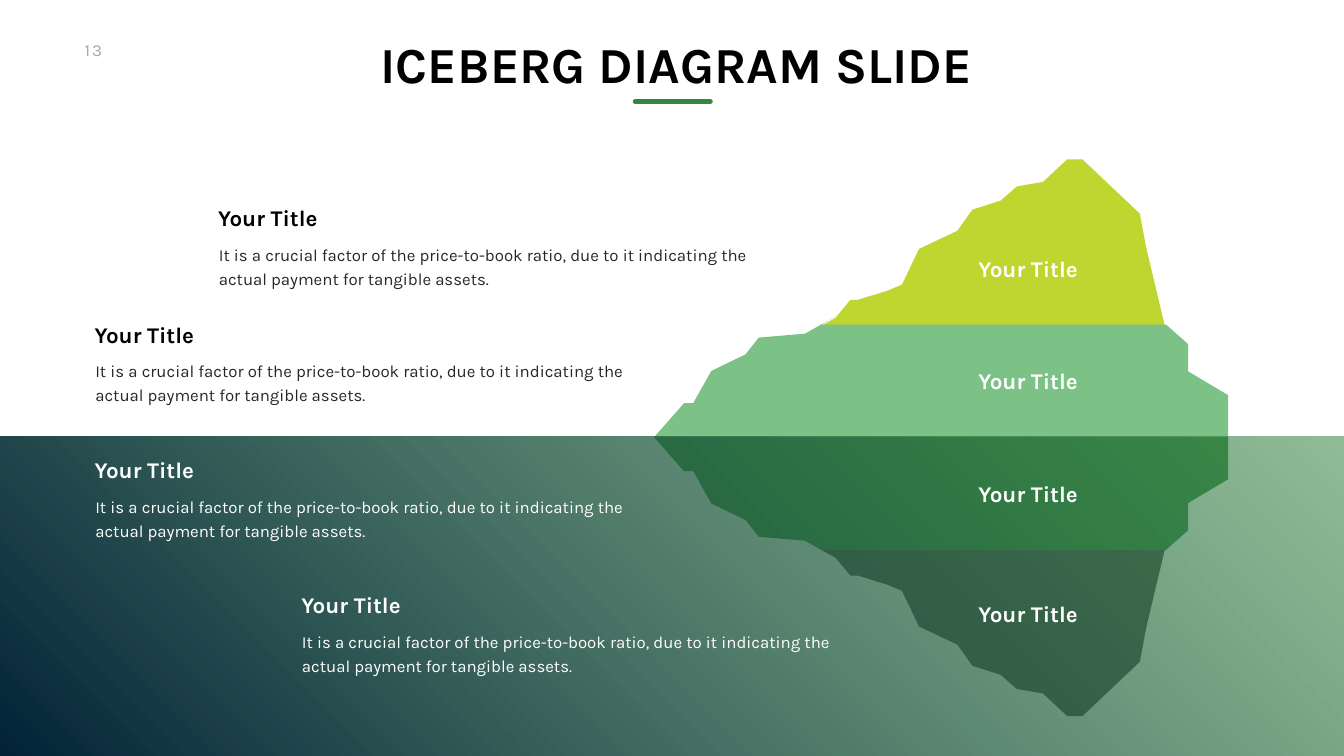
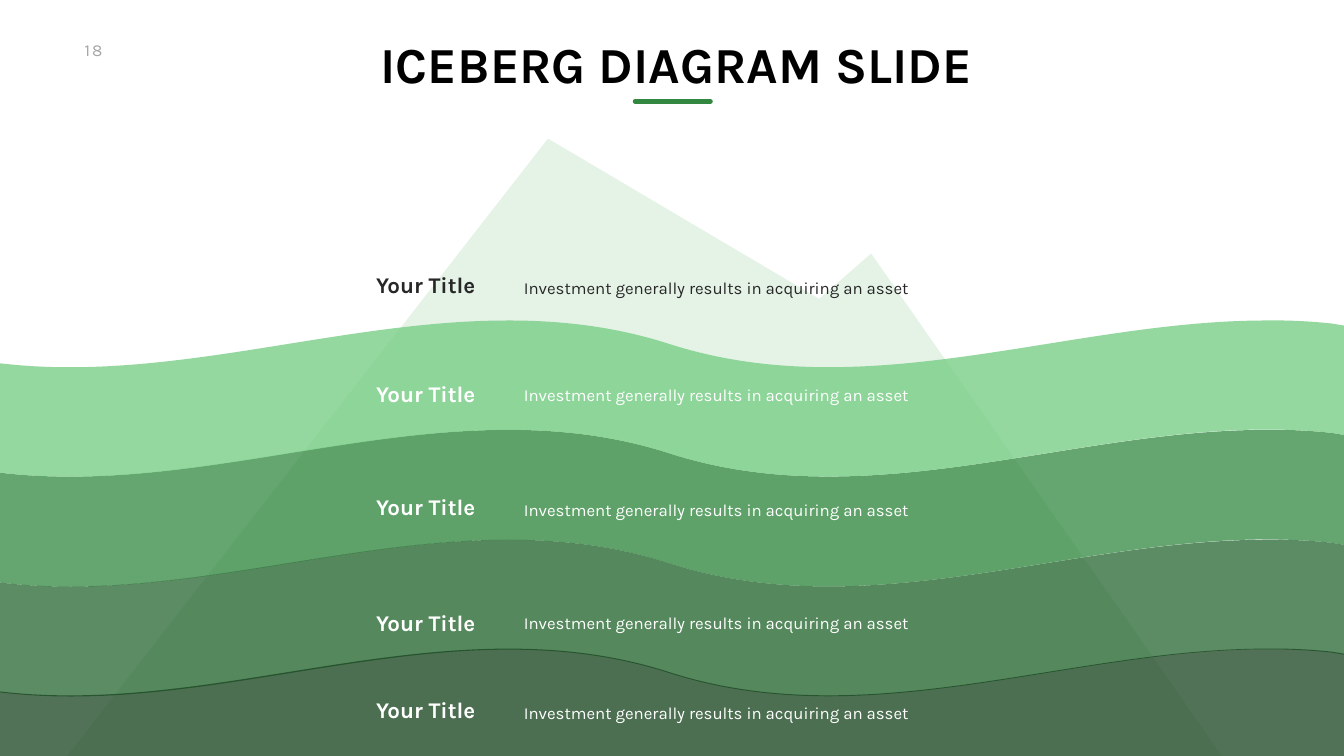
from dataclasses import dataclass

import pptx
import pptx.util
import pptx.dml.color
import pptx.enum.shapes
import pptx.enum.text
import pptx.oxml.ns
from lxml import etree

PX = 9144  # EMU per px, 100 px to the inch
WIDE, HIGH = 2666, 1500
ALIGN = pptx.enum.text.PP_ALIGN
ANCHOR = pptx.enum.text.MSO_ANCHOR
FIT = pptx.enum.text.MSO_AUTO_SIZE.SHAPE_TO_FIT_TEXT
RECT = pptx.enum.shapes.MSO_SHAPE.RECTANGLE
LINE = pptx.enum.shapes.MSO_CONNECTOR.STRAIGHT
qn = pptx.oxml.ns.qn


@dataclass(frozen=True)
class Theme:
    font: str = "Karla"
    black: str = "000000"
    ink: str = "272727"
    white: str = "FFFFFF"
    grey: str = "A6A6A6"
    green: str = "328840"
    lime: str = "BED62F"
    mint: str = "7CC287"
    slate: str = "4A4A4C"
    navy: str = "022338"
    sea: str = "428D4E"
    pale: str = "E5F3E7"
    light: str = "71CB7F"
    deep: str = "256630"
    dark: str = "194420"
    title: int = 72
    head: int = 32
    body: int = 24


THEME = Theme()

HEAD = "Your Title"
FACTOR = ("It is a crucial factor of the price-to-book ratio, due to it "
          "indicating the actual payment for tangible assets.")
INVEST = "Investment generally results in acquiring an asset"

TIP = [(2274, 493), (2261, 424), (2147, 316), (2117, 316), (2069, 361),
       (2017, 370), (1985, 398), (1929, 416), (1899, 458), (1823, 494),
       (1789, 565), (1757, 578), (1701, 595), (1687, 595), (1657, 631),
       (1628, 647), (2313, 647), (2310, 644)]
TRUNK = [(2357, 737), (2357, 683), (2313, 644), (1628, 644), (1657, 628),
         (1597, 662), (1505, 670), (1479, 703), (1411, 736), (1375, 800),
         (1357, 800), (1297, 868), (2436, 868), (2436, 784)]
PEAK = [(133, 1500), (1087, 275), (1625, 593), (1728, 503), (2424, 1500)]


def rgb(code):
    return pptx.dml.color.RGBColor.from_string(code)


def emu(*nums):
    return [round(n * PX) for n in nums]


def write(shape, text, size=THEME.body, color=THEME.ink, bold=False,
          align=ALIGN.LEFT, anchor=ANCHOR.TOP, wrap=False, pad=(10, 5, 10, 5),
          pitch=None, track=None):
    """Fill a shape with one formatted paragraph; pad is left, top, right, bottom."""
    frame = shape.text_frame
    frame.word_wrap = wrap
    frame.auto_size = FIT
    frame.vertical_anchor = anchor
    (frame.margin_left, frame.margin_top,
     frame.margin_right, frame.margin_bottom) = emu(*pad)
    para = frame.paragraphs[0]
    para.alignment = align
    if pitch:
        para.line_spacing = pptx.util.Pt(pitch)
    run = para.add_run()
    run.text = text
    font = run.font
    font.name, font.size, font.bold = THEME.font, pptx.util.Pt(size), bold
    font.color.rgb = rgb(color)
    if track:
        run._r.get_or_add_rPr().set("spc", str(track * 100))


def label(slide, box, text, **form):
    write(slide.shapes.add_textbox(*emu(*box)), text, **form)


def head(slide, left, top, color, align=ALIGN.LEFT):
    label(slide, (left, top, 235, 64), HEAD, size=THEME.head, color=color,
          bold=True, align=align, anchor=ANCHOR.MIDDLE)


def body(slide, box, text, color, align=ALIGN.LEFT):
    label(slide, box, text, color=color, align=align, wrap=True,
          pad=(24, 12, 24, 12), pitch=35)


def fade(shape, share):
    """Give the last fill colour of a shape an opacity in percent."""
    tone = list(shape._element.spPr.iter(qn("a:srgbClr")))[-1]
    etree.SubElement(tone, qn("a:alpha")).set("val", str(share * 1000))


def plain(shape):
    shape.shadow.inherit = False
    shape.line.fill.background()


def shard(slide, points, color):
    pen = slide.shapes.build_freeform(*points[0], scale=float(PX))
    pen.add_line_segments(points[1:], close=True)
    shape = pen.convert_to_shape()
    plain(shape)
    shape.fill.solid()
    shape.fill.fore_color.rgb = rgb(color)
    return shape


def flip(points, total):
    """Mirror points top to bottom; total is the sum of both heights."""
    return [(x, total - y) for x, y in points]


def trace(shape, steps):
    """Redraw a freeform's outline; a step of three points is a cubic curve."""
    route = next(shape._element.spPr.iter(qn("a:path")))
    for old in list(route):
        route.remove(old)
    for step in steps:
        kind = "cubicBezTo" if len(step) == 3 else "lnTo" if len(route) else "moveTo"
        part = etree.SubElement(route, qn("a:" + kind))
        for x, y in step:
            spot = etree.SubElement(part, qn("a:pt"))
            spot.set("x", str(x))
            spot.set("y", str(y))
    etree.SubElement(route, qn("a:close"))


def wave(slide, top, depth, color):
    base = top + depth + 93
    shape = shard(slide, [(0, top), (WIDE, top), (WIDE, base), (0, base)], color)
    fade(shape, 75)
    trace(shape, [
        [(2501, 0)],
        [(2548, -1), (2595, 1), (2642, 6)],
        [(WIDE, 10)],
        [(WIDE, 10 + depth)],
        [(2642, 6 + depth)],
        [(2204, depth - 42), (1763, depth + 187), (1326, depth + 46)],
        [(889, depth - 94), (448, depth + 135), (10, depth + 86)],
        [(0, depth + 85)],
        [(0, 85)],
        [(10, 86)],
        [(338, 122), (669, 2), (998, 0)],
        [(1107, -1), (1217, 11), (1326, 46)],
        [(1716, 172), (2110, 3), (2501, 0)],
    ])


def water(slide):
    shape = slide.shapes.add_shape(RECT, *emu(0, 866, WIDE, 633))
    plain(shape)
    shape.fill.gradient()
    shape.fill.gradient_angle = 45
    tones = zip(shape.fill.gradient_stops, (0, 1), (THEME.navy, THEME.sea))
    for stop, place, color in tones:
        stop.position = place
        stop.color.rgb = rgb(color)
    fade(shape, 59)


def rule(slide):
    line = slide.shapes.add_connector(LINE, *emu(1260, 201, 1409, 201))
    line.line.color.rgb = rgb(THEME.green)
    line.line.width = pptx.util.Pt(7)
    props = line._element.spPr
    props.find(qn("a:ln")).set("cap", "rnd")
    etree.SubElement(props, qn("a:effectLst"))


def start(deck, number):
    """Add a slide with its number, title and title rule."""
    slide = deck.slides.add_slide(deck.slide_layouts[5])
    title = slide.shapes.title
    title.left, title.top, title.width, title.height = emu(717, 65, 1239, 121)
    write(title, "ICEBERG DIAGRAM SLIDE", size=THEME.title, color=THEME.black,
          bold=True, align=ALIGN.CENTER, pad=(10, 0, 0, 0))
    label(slide, (158, 74, 75, 50), number, color=THEME.grey, track=3)
    rule(slide)
    return slide


def iceberg(deck):
    slide = start(deck, "13")
    shard(slide, TIP, THEME.lime)
    shard(slide, TRUNK, THEME.mint)
    shard(slide, flip(TIP, 1737), THEME.slate)
    shard(slide, flip(TRUNK, 1735), THEME.green)
    water(slide)
    for top in (501, 724, 947, 1185):
        head(slide, 1922, top, THEME.white, ALIGN.CENTER)
    above, below = (THEME.black, THEME.ink), (THEME.white, THEME.white)
    notes = ((423, 400, above), (178, 631, above),
             (178, 900, below), (588, 1168, below))
    for left, top, (dark, soft) in notes:
        head(slide, left, top, dark)
        body(slide, (left - 13, top + 64, 1095, 119), FACTOR, soft,
             ALIGN.JUSTIFY)


def mountain(deck):
    slide = start(deck, "18")
    shard(slide, PEAK, THEME.pale)
    waves = ((853, 218, THEME.green), (1071, 218, THEME.deep),
             (636, 217, THEME.light), (1287, 218, THEME.dark))
    for top, depth, color in waves:
        wave(slide, top, depth, color)
    rows = ((533, 530), (748, 742), (974, 971), (1203, 1195), (1376, 1373))
    for row, (top, text) in enumerate(rows):
        color = THEME.white if row else THEME.ink
        head(slide, 718, top, color, ALIGN.RIGHT)
        body(slide, (1015, text, 838, 70), INVEST, color)


def main():
    deck = pptx.Presentation()
    deck.slide_width, deck.slide_height = emu(WIDE, HIGH)
    iceberg(deck)
    mountain(deck)
    deck.save("out.pptx")


if __name__ == "__main__":
    main()
